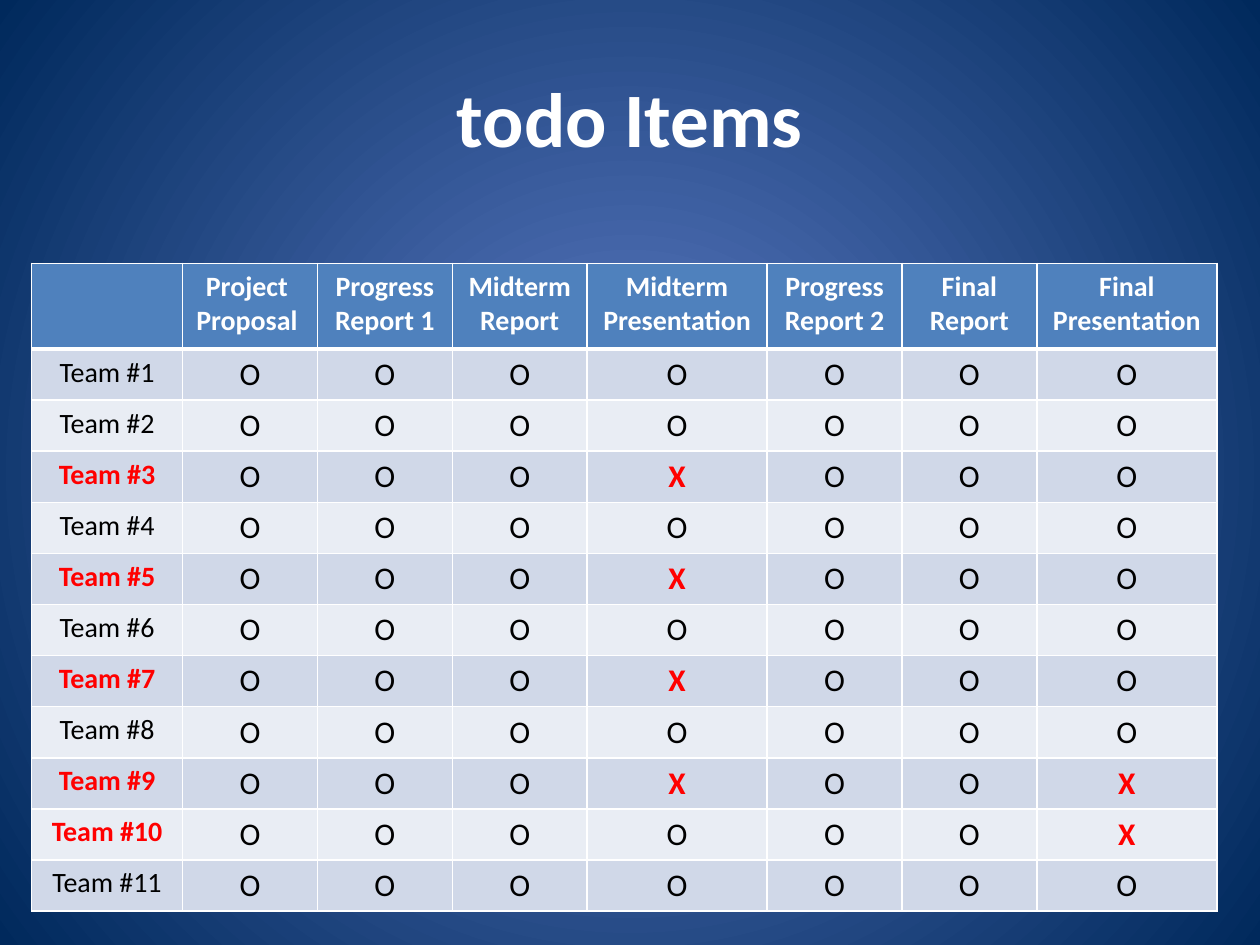
"""Build the "todo Items" slide: a grid of teams against project deliverables."""
from lxml.etree import SubElement
from pptx import Presentation
from pptx.dml.color import RGBColor as RGB
from pptx.enum.text import MSO_ANCHOR as ANCHOR, PP_ALIGN as ALIGN
from pptx.oxml.ns import qn
from pptx.util import Inches, Pt

THEME = {
    "font": "Calibri", "white": "FFFFFF", "black": "000000", "red": "FF0000",
    "glow": "5E7CC5", "navy": "00295C", "head": "4F81BD", "bands": ("D0D8E8", "E9EDF4"),
    "title": 44, "label": 16, "mark": 18, "rule": 1, "head_rule": 3,
}
HEADS = ["", "Project \vProposal ", "Progress\vReport 1", "Midterm\vReport",
         "Midterm\vPresentation", "Progress\vReport 2", "Final\vReport", "Final\vPresentation"]
MISSED = {3: {4}, 5: {4}, 7: {4}, 9: {4, 7}, 10: {7}}
TEAMS = 11
COLS = [0.12, 0.107, 0.107, 0.107, 0.143, 0.107, 0.107, 0.143]
ROWS = [0.68] + [0.4] * TEAMS


def write(tf, text, size, color, bold):
    p = tf.paragraphs[0]
    p.text = text
    p.alignment = ALIGN.CENTER
    for f in [p.font] + [r.font for r in p.runs]:
        for key, value in {"name": THEME["font"], "size": Pt(size), "bold": bold}.items():
            setattr(f, key, value)
        f.color.rgb = RGB.from_string(THEME[color])


def style_cell(cell, fill, top, bottom):
    tc_pr = cell._tc.get_or_add_tcPr()
    widths = {"L": THEME["rule"], "R": THEME["rule"], "T": top, "B": bottom}
    for side, width in widths.items():
        ln = SubElement(tc_pr, qn(f"a:ln{side}"), w=str(Pt(width)))
        SubElement(SubElement(ln, qn("a:solidFill")), qn("a:srgbClr"), val=THEME["white"])
    cell.fill.solid()
    cell.fill.fore_color.rgb = RGB.from_string(fill)


prs = Presentation()
prs.slide_width, prs.slide_height = Inches(10), Inches(7.5)
W, H = prs.slide_width, prs.slide_height
s = prs.slides.add_slide(prs.slide_layouts[5])

bg = s.background.fill
bg.gradient()
for stop, color in zip(bg.gradient_stops, ("glow", "navy")):
    stop.color.rgb = RGB.from_string(THEME[color])
lin = s.element.find(".//" + qn("a:lin"))
grad = lin.getparent()
grad.remove(lin)
center = SubElement(grad, qn("a:path"), path="circle")
SubElement(center, qn("a:fillToRect"), l="50000", t="50000", r="50000", b="50000")

title = s.shapes.title
box = {"left": 0.05 * W, "top": 0.04 * H, "width": 0.9 * W, "height": H / 6}
for key, value in box.items():
    setattr(title, key, int(value))
title.text_frame.vertical_anchor = ANCHOR.MIDDLE
write(title.text_frame, "todo Items", THEME["title"], "white", True)

table = s.shapes.add_table(len(ROWS), len(COLS), int(0.025 * W), Inches(2.09),
                           int(sum(COLS) * W), Inches(sum(ROWS))).table
for col, share in zip(table.columns, COLS):
    col.width = int(share * W)
for row, height in zip(table.rows, ROWS):
    row.height = Inches(height)

for c, head in enumerate(HEADS):
    cell = table.cell(0, c)
    style_cell(cell, THEME["head"], THEME["rule"], THEME["head_rule"])
    write(cell.text_frame, head, THEME["label"], "white", True)

for team in range(1, TEAMS + 1):
    missed = MISSED.get(team, set())
    top = THEME["head_rule"] if team == 1 else THEME["rule"]
    for c in range(len(COLS)):
        cell = table.cell(team, c)
        style_cell(cell, THEME["bands"][(team - 1) % 2], top, THEME["rule"])
        alert = c in missed or (c == 0 and bool(missed))
        text = f"Team #{team}" if c == 0 else "X" if alert else "O"
        size = THEME["label"] if c == 0 else THEME["mark"]
        write(cell.text_frame, text, size, "red" if alert else "black", alert)

prs.save("out.pptx")
